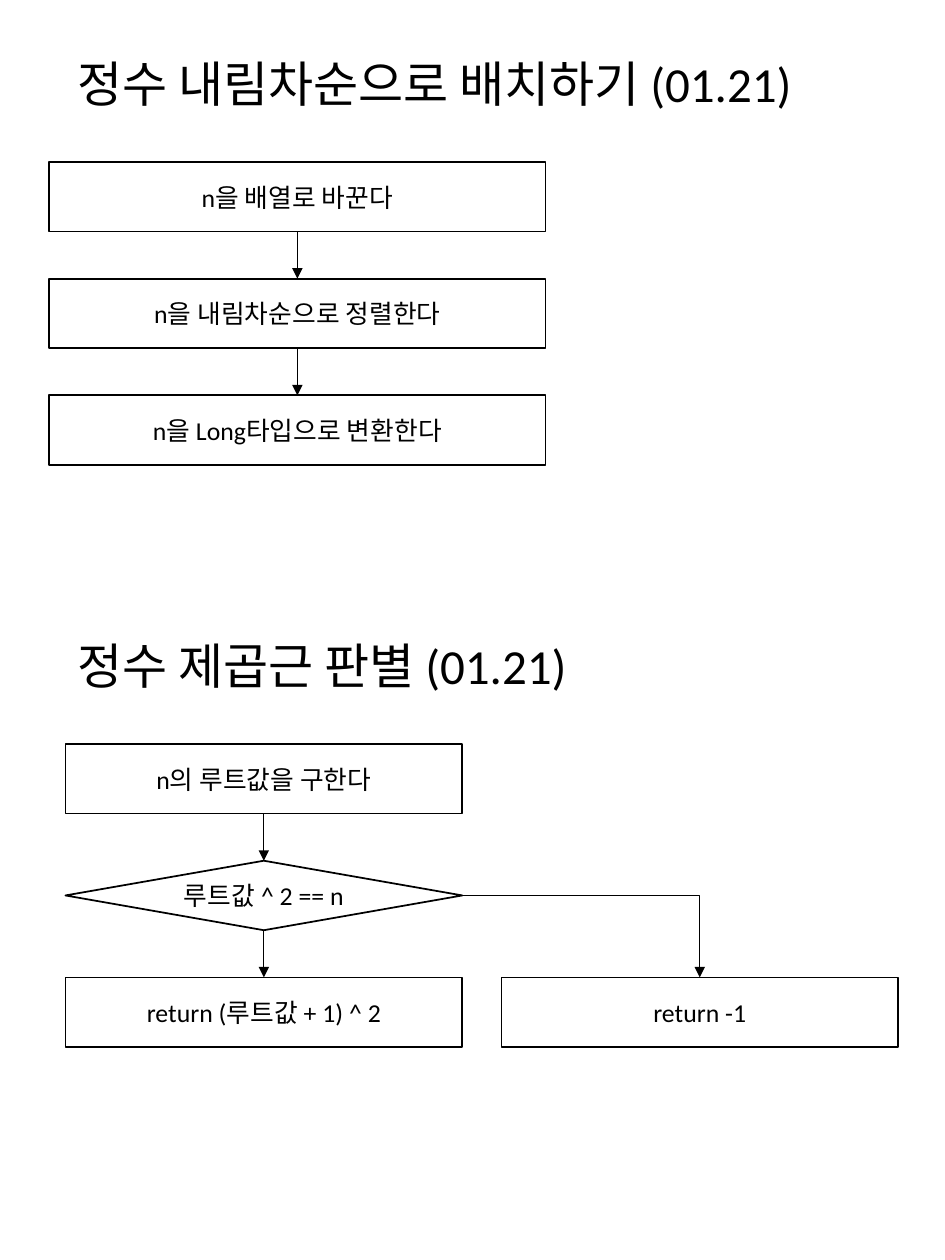
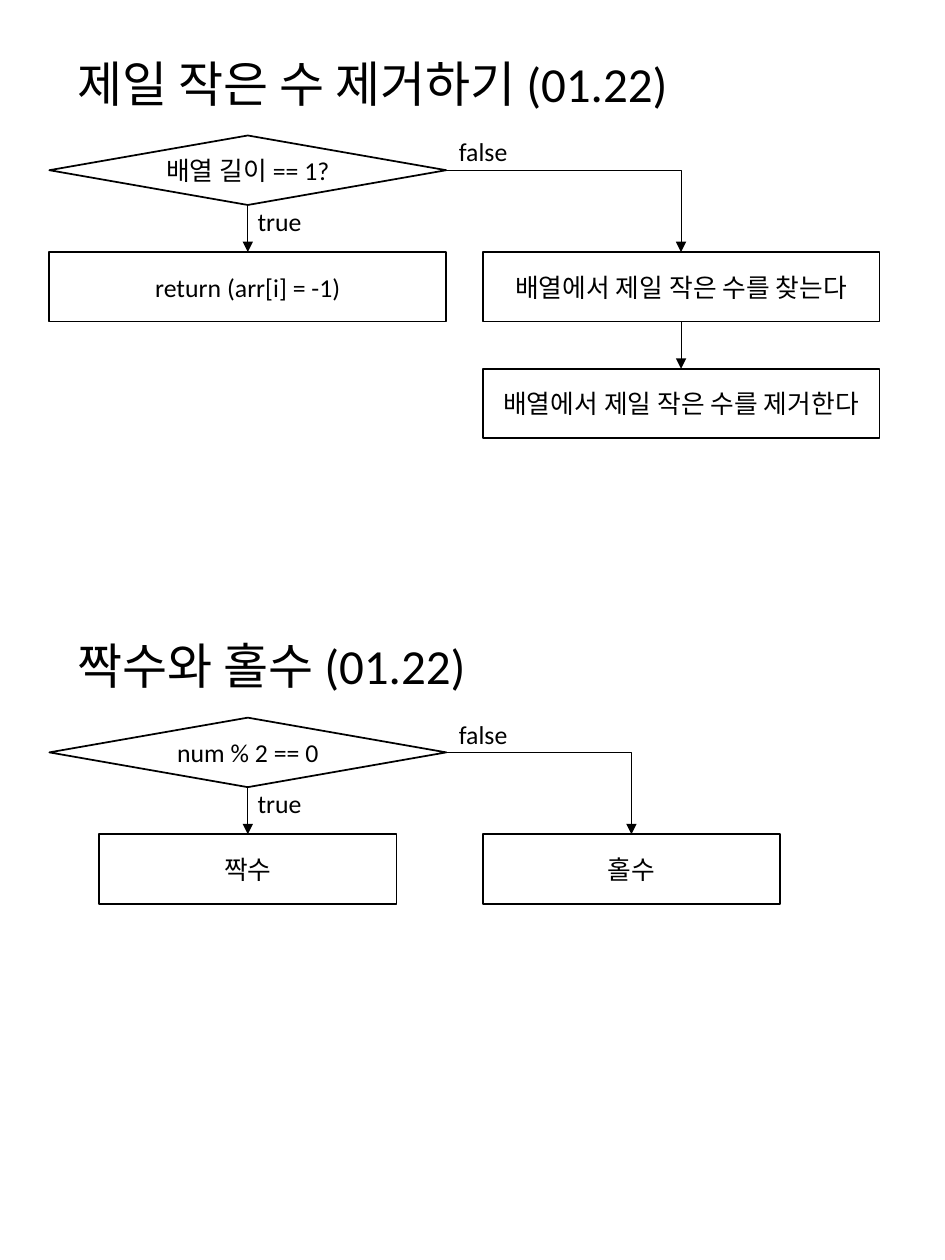
from lxml import etree
from pptx import Presentation
from pptx import util as u
from pptx.dml import color
from pptx.enum import shapes, text
from pptx.oxml import ns

Pt = u.Pt
FONT = "Calibri"
BLACK = color.RGBColor.from_string("000000")
RECTANGLE = shapes.MSO_SHAPE.RECTANGLE
DIAMOND = shapes.MSO_SHAPE.DIAMOND
TOP, BOTTOM, RIGHT = 0, 2, 3
TITLE_SIZE, BODY_SIZE = 28, 14.7
BOX_HEIGHT, ROW_PITCH = 39.7, 66.65
FULL, WIDE, NARROW = 283.5, 226.8, 170.1
LEFT, RIGHT_COLUMN = 28.2, 275.8
INDENT = 37.4


def add_text(slide, content, left, top, width, height, kind=None, size=BODY_SIZE,
             align=text.PP_ALIGN.LEFT, anchor=text.MSO_ANCHOR.MIDDLE, spacing=None, label=False):
    if kind is None:
        shape = slide.shapes.add_textbox(Pt(left), Pt(top), Pt(width), Pt(height))
    else:
        shape = slide.shapes.add_shape(kind, Pt(left), Pt(top), Pt(width), Pt(height))
        shape.shadow.inherit = False
        shape.fill.background()
        shape.line.color.rgb = BLACK
        shape.line.width = Pt(1)
    frame = shape.text_frame
    frame.word_wrap = not label
    frame.vertical_anchor = anchor
    if label:
        frame.auto_size = text.MSO_AUTO_SIZE.SHAPE_TO_FIT_TEXT
        frame.margin_left = frame.margin_right = Pt(3.6)
    paragraph = frame.paragraphs[0]
    paragraph.alignment = align
    paragraph.line_spacing = spacing
    run = paragraph.add_run()
    run.text = content
    run.font.name = FONT
    run.font.size = Pt(size)
    run.font.color.rgb = BLACK
    return shape


def add_arrow(slide, start, end, start_site=BOTTOM):
    bent = start_site == RIGHT
    kind = shapes.MSO_CONNECTOR.ELBOW if bent else shapes.MSO_CONNECTOR.STRAIGHT
    connector = slide.shapes.add_connector(kind, 0, 0, 0, 0)
    connector.begin_connect(start, start_site)
    connector.end_connect(end, TOP)
    connector.line.color.rgb = BLACK
    connector.line.width = Pt(0.5)
    properties = connector._element.spPr
    if bent:
        properties.find(ns.qn("a:prstGeom")).set("prst", "bentConnector2")
    tail = etree.SubElement(properties.find(ns.qn("a:ln")), ns.qn("a:tailEnd"))
    tail.set("type", "triangle")
    etree.SubElement(properties, ns.qn("a:effectLst"))


presentation = Presentation()
presentation.slide_width = Pt(540)
presentation.slide_height = Pt(720)

# Each box: text, kind, left, row, width. Each arrow: start box, end box, start side.
pages = [
    [
        ("정수 내림차순으로 배치하기 (01.21)", 92.6, False,
         [("n을 배열로 바꾼다", RECTANGLE, LEFT, 0, FULL),
          ("n을 내림차순으로 정렬한다", RECTANGLE, LEFT, 1, FULL),
          ("n을 Long타입으로 변환한다", RECTANGLE, LEFT, 2, FULL)],
         [(0, 1, BOTTOM), (1, 2, BOTTOM)]),
        ("정수 제곱근 판별 (01.21)", 425.2, False,
         [("n의 루트값을 구한다", RECTANGLE, INDENT, 0, WIDE),
          ("루트값 ^ 2 == n", DIAMOND, INDENT, 1, WIDE),
          ("return (루트값 + 1) ^ 2", RECTANGLE, INDENT, 2, WIDE),
          ("return -1", RECTANGLE, 286.5, 2, WIDE)],
         [(0, 1, BOTTOM), (1, 2, BOTTOM), (1, 3, RIGHT)]),
    ],
    [
        ("제일 작은 수 제거하기 (01.22)", 77.4, True,
         [("배열 길이 == 1?", DIAMOND, LEFT, 0, WIDE),
          ("return (arr[i] = -1)", RECTANGLE, LEFT, 1, WIDE),
          ("배열에서 제일 작은 수를 찾는다", RECTANGLE, RIGHT_COLUMN, 1, WIDE),
          ("배열에서 제일 작은 수를 제거한다", RECTANGLE, RIGHT_COLUMN, 2, WIDE)],
         [(0, 1, BOTTOM), (0, 2, RIGHT), (2, 3, BOTTOM)]),
        ("짝수와 홀수 (01.22)", 410.1, True,
         [("num % 2 == 0", DIAMOND, LEFT, 0, WIDE),
          ("짝수", RECTANGLE, LEFT + (WIDE - NARROW) / 2, 1, NARROW),
          ("홀수", RECTANGLE, RIGHT_COLUMN, 1, NARROW)],
         [(0, 1, BOTTOM), (0, 2, RIGHT)]),
    ],
]

for sections in pages:
    slide = presentation.slides.add_slide(presentation.slide_layouts[6])
    for title_top, (title, flow_top, labelled, boxes, arrows) in zip((27.4, 360), sections):
        add_text(slide, title, 37.1, title_top, 465.8, 43.9, size=TITLE_SIZE, spacing=0.9)
        steps = [
            add_text(slide, content, left, flow_top + row * ROW_PITCH, width, BOX_HEIGHT,
                     kind=kind, align=text.PP_ALIGN.CENTER)
            for content, kind, left, row, width in boxes
        ]
        for start, end, site in arrows:
            add_arrow(slide, steps[start], steps[end], site)
        if labelled:
            for word, left, top, width in (
                ("true", LEFT + WIDE / 2 + 2, flow_top + BOX_HEIGHT - 3.2, 33.1),
                ("false", LEFT + WIDE + 3.6, flow_top - 3.2, 35.3),
            ):
                add_text(slide, word, left, top, width, 25.2,
                         anchor=text.MSO_ANCHOR.TOP, label=True)

presentation.save("out.pptx")
